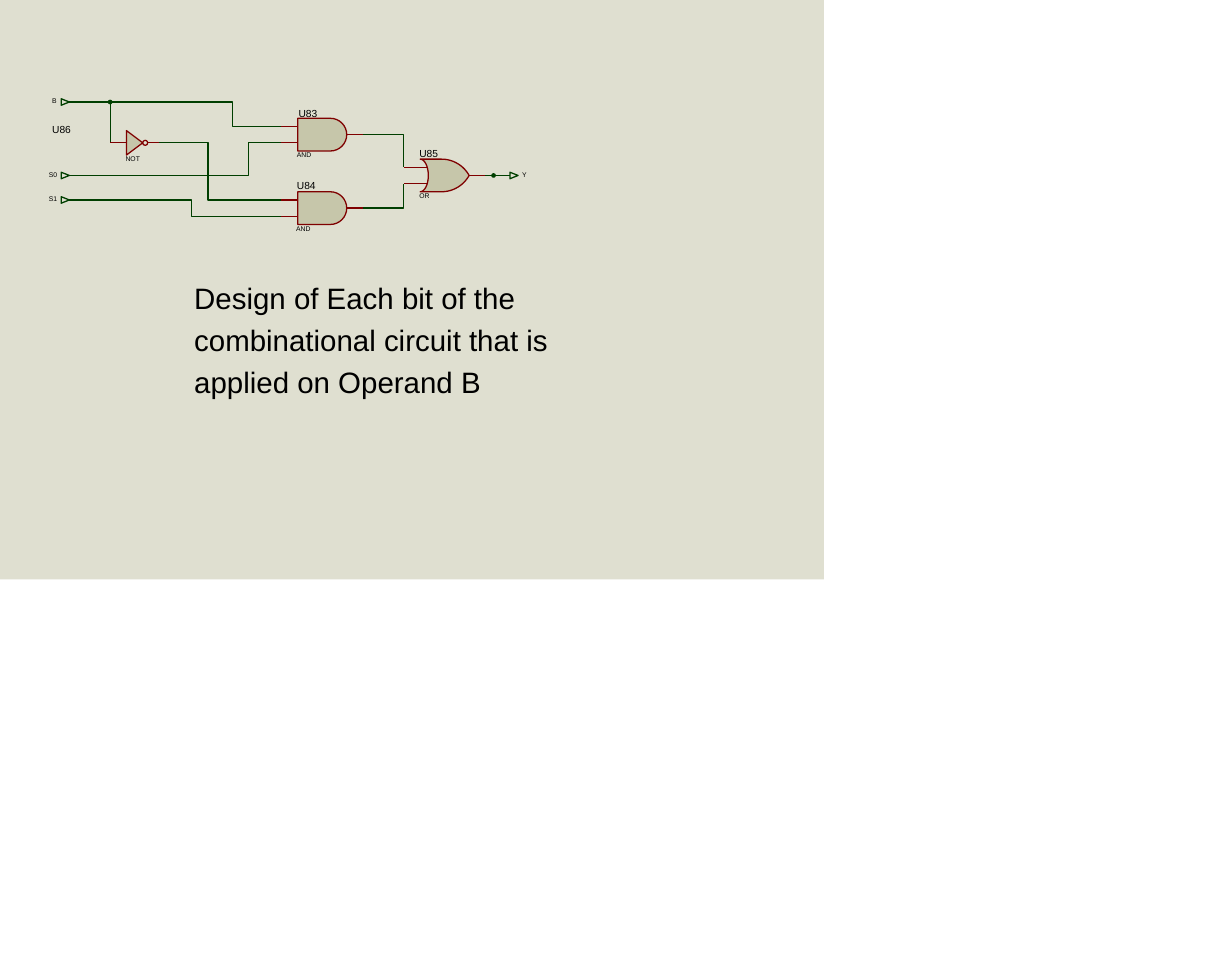
import math
from dataclasses import dataclass

import pptx
import pptx.dml.color
import pptx.enum.shapes
import pptx.enum.text
import pptx.oxml.ns
import pptx.util
from lxml import etree

WIDTH, HEIGHT = 15.1, 11.7
PITCH, ORIGIN = 0.1, 0.05  # circuit grid, inches
PANEL, BODY, OUTLINE, WIRE, INK = "DFDFD0", "C6C6AA", "7F0000", "003F00", "000000"
Point = tuple[float, float]


@dataclass
class Line:
    points: list[Point]
    color: str = WIRE


@dataclass
class Gate:
    col: float
    row: float
    outline: list[Point]


@dataclass
class Circle:
    col: float
    row: float
    size: float
    color: str
    fill: str | None = None


@dataclass
class Label:
    text: str
    col: float
    row: float
    size: int = 6


def arc(cx: float, cy: float, rx: float, ry: float, start: float, end: float) -> list[Point]:
    """Points on an ellipse between two angles in degrees, clockwise from the right."""
    angles = [math.radians(start + (end - start) * i / 16) for i in range(17)]
    return [(cx + rx * math.cos(a), cy + ry * math.sin(a)) for a in angles]


AND = [(0, 0), *arc(4, 2, 2, 2, -90, 90), (0, 4)]
OR = [*arc(2.6, 3.89, 3.89, 3.89, -90, -29), *arc(2.6, 0.11, 3.89, 3.89, 29, 90),
      *arc(0, 2, 1, 2, 90, -90)]
NOT = [(0, 0), (0, 3), (2, 1.5)]
TERMINAL = [(0, -0.4), (0, 0.4), (1, 0)]

WIRES = [
    Line([(8, 12), (28, 12), (28, 15), (34, 15)]),
    Line([(13, 12), (13, 17)]),
    Line([(19, 17), (25, 17), (25, 24), (34, 24)]),
    Line([(8, 21), (30, 21), (30, 17), (34, 17)]),
    Line([(8, 24), (23, 24), (23, 26), (34, 26)]),
    Line([(44, 16), (49, 16), (49, 20)]),
    Line([(44, 25), (49, 25), (49, 22)]),
    Line([(59, 21), (62, 21)]),
]
# Pins as start column, end column, row
PINS = [Line([(a, row), (b, row)], OUTLINE) for a, b, row in [
    (34, 36, 15), (34, 36, 17), (42, 44, 16),
    (34, 36, 24), (34, 36, 26), (42, 44, 25),
    (49, 51.9, 20), (49, 51.9, 22), (57, 59, 21),
    (13, 15, 17), (17.6, 19, 17)]]
GATES = [Gate(36, 14, AND), Gate(36, 23, AND), Gate(51, 19, OR), Gate(15, 15.5, NOT)]
TERMINALS = [(7, 12), (7, 21), (7, 24), (62, 21)]
CIRCLES = [Circle(17.3, 17, 0.6, OUTLINE), Circle(13, 12, 0.4, WIRE, WIRE),
           Circle(60, 21, 0.4, WIRE, WIRE)]
LABELS = [
    Label("B", 5.8, 11.4), Label("S0", 5.4, 20.4), Label("S1", 5.4, 23.4),
    Label("Y", 63.4, 20.4), Label("NOT", 14.8, 18.5), Label("AND", 35.8, 18),
    Label("AND", 35.7, 27), Label("OR", 50.8, 23), Label("U83", 36, 12.7, 9),
    Label("U84", 35.8, 21.5, 9), Label("U85", 50.8, 17.5, 9), Label("U86", 5.8, 14.6, 9),
]


def rgb(color: str) -> pptx.dml.color.RGBColor:
    return pptx.dml.color.RGBColor.from_string(color)


def span(cells: float) -> int:
    return pptx.util.Inches(cells * PITCH)


def place(col: float, row: float) -> tuple[int, int]:
    return tuple(pptx.util.Inches(ORIGIN + n * PITCH) for n in (col, row))


def style(sp, fill: str | None, line: str | None) -> None:
    sp.shadow.inherit = False
    if fill:
        sp.fill.solid()
        sp.fill.fore_color.rgb = rgb(fill)
    else:
        sp.fill.background()
    if line:
        sp.line.color.rgb = rgb(line)
        sp.line.width = pptx.util.Pt(1.13)
    else:
        sp.line.fill.background()


def draw_outline(shapes, points: list[Point], color: str, fill: str | None = None,
                 close: bool = True) -> None:
    start, *rest = [place(*pt) for pt in points]
    builder = shapes.build_freeform(*start)
    builder.add_line_segments(rest, close=close)
    style(builder.convert_to_shape(), fill, color)


def draw_line(shapes, line: Line) -> None:
    """Draw a straight run as a connector and a bent one as an open outline."""
    if len(line.points) > 2:
        draw_outline(shapes, line.points, line.color, close=False)
        return
    start, end = line.points
    sp = shapes.add_connector(pptx.enum.shapes.MSO_CONNECTOR.STRAIGHT,
                              *place(*start), *place(*end))
    sp.line.color.rgb = rgb(line.color)
    sp.line.width = pptx.util.Pt(1.13)
    etree.SubElement(sp._element.spPr, pptx.oxml.ns.qn("a:effectLst"))


def draw_circle(shapes, circle: Circle) -> None:
    half = circle.size / 2
    sp = shapes.add_shape(pptx.enum.shapes.MSO_SHAPE.OVAL,
                          *place(circle.col - half, circle.row - half),
                          span(circle.size), span(circle.size))
    style(sp, circle.fill, circle.color)


def write(sp, text: str, size: int, spacing: float) -> None:
    tf = sp.text_frame
    frame = dict(margin_left=pptx.util.Inches(0.01), margin_right=0, margin_top=0,
                 margin_bottom=0, word_wrap=True,
                 auto_size=pptx.enum.text.MSO_AUTO_SIZE.NONE,
                 vertical_anchor=pptx.enum.text.MSO_ANCHOR.TOP)
    for name, value in frame.items():
        setattr(tf, name, value)
    p = tf.paragraphs[0]
    p.alignment = pptx.enum.text.PP_ALIGN.LEFT
    p.line_spacing = spacing
    r = p.add_run()
    r.text = text
    for name, value in dict(name="Arial", size=pptx.util.Pt(size)).items():
        setattr(r.font, name, value)
    r.font.color.rgb = rgb(INK)


def main() -> None:
    prs = pptx.Presentation()
    prs.slide_width = pptx.util.Inches(WIDTH)
    prs.slide_height = pptx.util.Inches(HEIGHT)
    s = prs.slides.add_slide(prs.slide_layouts[5])
    shapes = s.shapes

    panel = shapes.add_shape(pptx.enum.shapes.MSO_SHAPE.RECTANGLE, 0, 0, span(101), span(71))
    style(panel, PANEL, None)
    for line in WIRES:
        draw_line(shapes, line)
    for gate in GATES:
        draw_outline(shapes, [(gate.col + x, gate.row + y) for x, y in gate.outline],
                     OUTLINE, BODY)
    for line in PINS:
        draw_line(shapes, line)
    for col, row in TERMINALS:
        draw_outline(shapes, [(col + x, row + y) for x, y in TERMINAL], WIRE)
    for circle in CIRCLES:
        draw_circle(shapes, circle)
    for label in LABELS:
        sp = shapes.add_textbox(*place(label.col, label.row), span(3), span(1.6))
        write(sp, label.text, label.size, 1)

    title = shapes.title
    title.left, title.top = place(23.2, 33)
    title.width, title.height = span(43.6), span(12.5)
    write(title, "Design of Each bit of the combinational circuit that is applied on Operand B",
          26, 1.19)
    shapes._spTree.append(title._element)  # bring in front of the panel
    prs.save("out.pptx")


if __name__ == "__main__":
    main()
